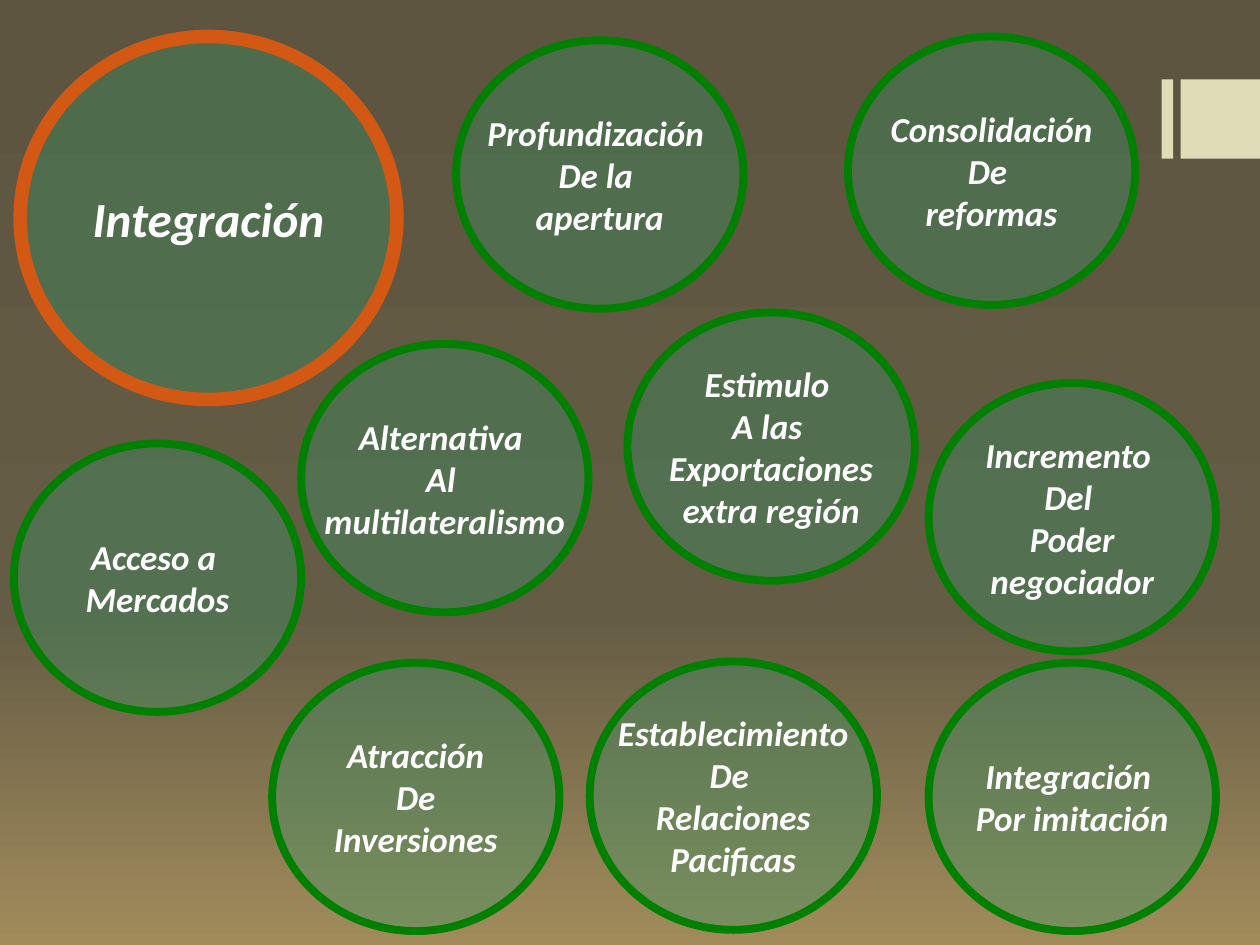
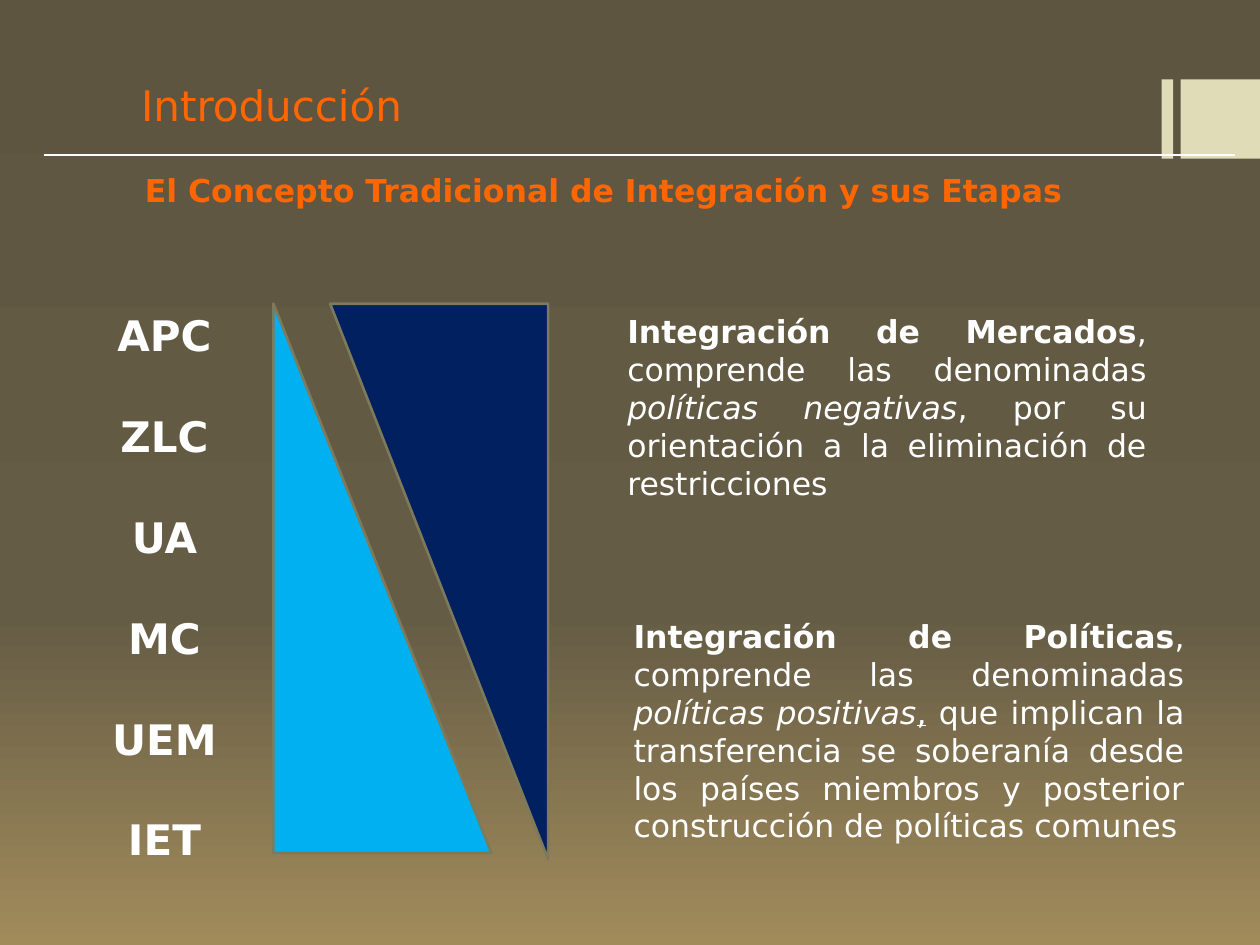
from dataclasses import dataclass

from lxml import etree
from pptx import Presentation
from pptx.dml.color import RGBColor
from pptx.enum.shapes import MSO_CONNECTOR, MSO_SHAPE
from pptx.enum.text import MSO_ANCHOR, MSO_AUTO_SIZE, PP_ALIGN
from pptx.oxml.ns import qn
from pptx.util import Inches, Pt

ELLIPSE, RECTANGLE = MSO_SHAPE.OVAL, MSO_SHAPE.RECTANGLE
TRIANGLE = MSO_SHAPE.RIGHT_TRIANGLE
STRAIGHT = MSO_CONNECTOR.STRAIGHT
LEFT, CENTER, JUSTIFY = PP_ALIGN.LEFT, PP_ALIGN.CENTER, PP_ALIGN.JUSTIFY
TOP, MIDDLE, BOTTOM = MSO_ANCHOR.TOP, MSO_ANCHOR.MIDDLE, MSO_ANCHOR.BOTTOM


@dataclass(frozen=True)
class Theme:
    background: tuple = ((0, "5D5540"), (65, "655C45"), (100, "A18B5B"))
    band: str = "DFDCB7"
    white: str = "FFFFFF"
    heading: str = "FF6600"
    bubble: str = "339966"
    bubble_opacity: int = 34
    bubble_line: str = "008000"
    main_line: str = "D25814"
    markets: str = "00B0F0"
    policies: str = "002060"
    triangle_line: str = "7D7A5C"
    bubble_font: str = "Calibri"
    text_font: str = "DejaVu Sans"
    main_size: int = 28
    large_size: int = 24
    bubble_size: int = 20
    body_size: int = 18


THEME = Theme()

# Content: left and top of each bubble, then its lines
MAIN_BUBBLE = (0.16, 0.29, ["Integración"])
BUBBLES = [
    (0.11, 3.52, ["Acceso a ", "Mercados"]),
    (2.16, 5.26, ["Atracción", "De", "Inversiones"]),
    (6.73, 0.29, ["Consolidación", "De ", "reformas"]),
    (7.37, 3.04, ["Incremento ", "Del ", "Poder", "negociador"]),
    (4.98, 2.48, ["Estimulo ", "A las ", "Exportaciones", "extra región"]),
    (2.39, 2.73, ["Alternativa ", "Al ", "multilateralismo"]),
    (3.62, 0.32, ["Profundización ", "De la ", "apertura"]),
    (7.37, 5.26, ["Integración ", "Por imitación"]),
    (4.68, 5.25, ["Establecimiento", "De ", "Relaciones", "Pacificas"]),
]
MAIN_BUBBLE_SIZE = (2.99, 2.88)
BUBBLE_SIZE = (2.28, 2.13)

TITLE = "Introducción"
SUBTITLE = "El Concepto Tradicional de Integración y sus Etapas"
STAGES = ["APC", "ZLC", "UA", "MC", "UEM", "IET"]
SHIFTED_STAGE = "ZLC"
# Box, then runs with their style: b bold, i italic, u underline
DEFINITIONS = [
    ((4.88, 2.43, 4.32, 1.62), [
        ("Integración de Mercados", "b"),
        (", comprende las denominadas ", ""),
        ("políticas negativas", "i"),
        (", por su orientación a la eliminación de restricciones", ""),
    ]),
    ((4.93, 4.85, 4.57, 1.92), [
        ("Integración de Políticas", "b"),
        (", comprende las denominadas ", ""),
        ("políticas positivas", "i"),
        (",", "u"),
        (" que implican la transferencia se soberanía desde los países "
         "miembros y posterior construcción de políticas comunes", ""),
    ]),
]
TRIANGLES = [
    ((2.17, 2.41, 1.73, 4.36), THEME.markets, 0),
    ((2.62, 2.41, 1.73, 4.41), THEME.policies, 180),
]
BANDS = [(9.22, 0.63, 0.09, 0.63), (9.37, 0.63, 0.63, 0.63)]


def inches(box):
    return [Inches(value) for value in box]


def set_font(paragraph, name, size, color, bold=None, italic=None):
    font = paragraph.font
    font.name, font.size = name, Pt(size)
    font.bold, font.italic = bold, italic
    font.color.rgb = RGBColor.from_string(color)


def add_shape(slide, kind, box, fill, line=None, width=0):
    shape = slide.shapes.add_shape(kind, *inches(box))
    shape.shadow.inherit = False
    shape.fill.solid()
    shape.fill.fore_color.rgb = RGBColor.from_string(fill)
    if line:
        shape.line.color.rgb = RGBColor.from_string(line)
        shape.line.width = Pt(width)
    else:
        shape.line.fill.background()
    return shape


def add_text_box(slide, box):
    frame = slide.shapes.add_textbox(*inches(box)).text_frame
    frame.word_wrap = True
    return frame


def write_lines(frame, lines, alignment):
    frame.text = "\n".join(lines)
    for paragraph in frame.paragraphs:
        paragraph.alignment = alignment
    return frame.paragraphs


def add_bubble(slide, bubble, size, line, width, text_size):
    left, top, lines = bubble
    shape = add_shape(slide, ELLIPSE, (left, top, *size), THEME.bubble, line, width)
    color = shape.fill._xPr.find(qn("a:solidFill"))[0]
    etree.SubElement(color, qn("a:alpha"), val=str(THEME.bubble_opacity * 1000))
    frame = shape.text_frame
    frame.word_wrap = False
    frame.vertical_anchor = MIDDLE
    for paragraph in write_lines(frame, lines, CENTER):
        set_font(paragraph, THEME.bubble_font, text_size, THEME.white, True, True)


def set_background(master):
    fill = master.background.fill
    fill.gradient()
    fill.gradient_angle = 270
    stops = master.element.find(".//" + qn("a:gsLst"))
    for stop in list(stops):
        stops.remove(stop)
    for position, color in THEME.background:
        stop = etree.SubElement(stops, qn("a:gs"), pos=str(position * 1000))
        etree.SubElement(stop, qn("a:srgbClr"), val=color)


def add_slide(presentation, layout_name):
    layout = presentation.slide_layouts.get_by_name(layout_name)
    slide = presentation.slides.add_slide(layout)
    for box in BANDS:
        add_shape(slide, RECTANGLE, box, THEME.band)
    return slide


presentation = Presentation()
presentation.slide_width, presentation.slide_height = Inches(10), Inches(7.5)
set_background(presentation.slide_master)

# Slide 1: reasons for integration
slide = add_slide(presentation, "Blank")
add_bubble(slide, MAIN_BUBBLE, MAIN_BUBBLE_SIZE, THEME.main_line, 7.75,
           THEME.main_size)
for bubble in BUBBLES:
    add_bubble(slide, bubble, BUBBLE_SIZE, THEME.bubble_line, 4.5,
               THEME.bubble_size)

# Slide 2: title and subtitle
slide = add_slide(presentation, "Title Only")
title = slide.shapes.title
title.left, title.top, title.width, title.height = inches((0.2, 0.52, 6.93, 0.56))
title_frame = title.text_frame
title_frame.auto_size = MSO_AUTO_SIZE.NONE
subtitle_frame = add_text_box(slide, (0.27, 1.31, 9.53, 0.45))
for frame, text, size, bold, anchor, indent in [
    (title_frame, TITLE, THEME.large_size, False, BOTTOM, 0.92),
    (subtitle_frame, SUBTITLE, THEME.body_size, True, TOP, 0.88),
]:
    frame.margin_left = Inches(indent)
    frame.vertical_anchor = anchor
    paragraph = write_lines(frame, [text], LEFT)[0]
    set_font(paragraph, THEME.text_font, size, THEME.heading, bold)

# Rule under the title
rule = slide.shapes.add_connector(STRAIGHT, *inches((0.35, 1.23, 9.8, 1.23)))
rule.line.color.rgb = RGBColor.from_string(THEME.white)
rule.line.width = Pt(1.5)
etree.SubElement(rule._element.spPr, qn("a:effectLst"))

# Definitions
for box, runs in DEFINITIONS:
    paragraph = add_text_box(slide, box).paragraphs[0]
    paragraph.alignment = JUSTIFY
    set_font(paragraph, THEME.text_font, THEME.body_size, THEME.white)
    for text, style in runs:
        run = paragraph.add_run()
        run.text = text
        run.font.bold = "b" in style
        run.font.italic = "i" in style
        run.font.underline = "u" in style

# Stages
stages_frame = add_text_box(slide, (0.32, 2.01, 1.97, 4.95))
for paragraph in write_lines(stages_frame, STAGES, CENTER):
    paragraph.line_spacing = 2.0
    set_font(paragraph, THEME.text_font, THEME.large_size, THEME.white, True)
    if paragraph.text == SHIFTED_STAGE:
        paragraph._p.get_or_add_pPr().set("indent", str(-Inches(0.23)))

# Opposed triangles
for box, color, rotation in TRIANGLES:
    triangle = add_shape(slide, TRIANGLE, box, color, THEME.triangle_line, 1.5)
    triangle.rotation = rotation

presentation.save("out.pptx")
